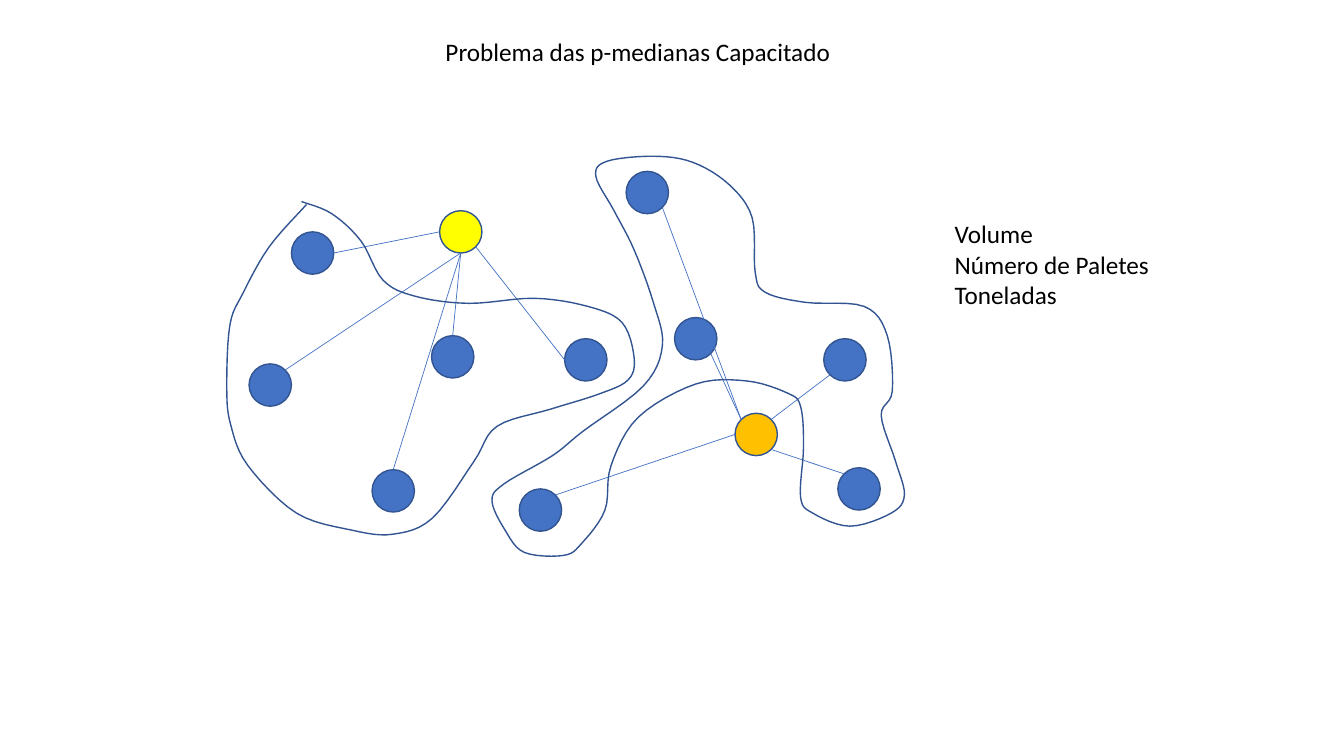
from dataclasses import dataclass

from lxml.etree import SubElement
from pptx import Presentation
from pptx.dml.color import RGBColor
from pptx.enum.shapes import MSO_CONNECTOR as CONNECTOR, MSO_SHAPE as SHAPE
from pptx.enum.text import MSO_AUTO_SIZE as AUTO_SIZE
from pptx.oxml.ns import qn
from pptx.util import Pt

PX = 9144  # EMU per px, 100 px to the inch
COLORS = {"customer": "4472C4", "edge": "325491", "yellow": "FFFF00",
          "orange": "FFC000", "text": "000000"}
RADIUS = 21
DIAGONAL = round(RADIUS * 0.5 ** 0.5)
CURVE_STEPS = 6  # straight pieces between two anchors of a boundary

# Compass points on a node's rim, as offsets from its centre
RIM = {"N": (0, -RADIUS), "S": (0, RADIUS), "W": (-RADIUS, 0), "E": (RADIUS, 0),
       "NW": (-DIAGONAL, -DIAGONAL), "NE": (DIAGONAL, -DIAGONAL),
       "SW": (-DIAGONAL, DIAGONAL), "SE": (DIAGONAL, DIAGONAL)}


@dataclass
class Cluster:
    color: str
    median: tuple
    links: list  # customer centre, rim point of the median, rim point of the customer
    boundary: list  # anchors that a smooth curve passes through, clockwise
    closed: bool


YELLOW_CLUSTER = Cluster(
    color="yellow", median=(257, 80), closed=False,
    links=[((110, 101), "W", "E"), ((68, 232), "S", "NE"), ((249, 204), "S", "N"),
           ((190, 337), "S", "N"), ((381, 207), "SE", "W")],
    boundary=[(99, 50), (129, 62), (158, 89), (180, 128), (212, 144), (265, 151),
              (330, 146), (383, 154), (417, 170), (429, 205), (423, 227), (394, 241),
              (346, 256), (293, 273), (270, 308), (229, 364), (190, 380), (149, 376),
              (94, 359), (46, 312), (29, 272), (25, 236), (28, 173), (41, 141),
              (67, 95), (104, 53)])

ORANGE_CLUSTER = Cluster(
    color="orange", median=(550, 281), closed=True,
    links=[((336, 356), "W", "NE"), ((652, 335), "SE", "NW"), ((490, 186), "NW", "SE"),
           ((638, 207), "NE", "SW"), ((442, 41), "NW", "SE")],
    boundary=[(402, 10), (448, 5), (487, 11), (523, 33), (546, 66), (549, 120),
              (559, 140), (599, 150), (657, 154), (680, 183), (685, 238), (674, 262),
              (688, 307), (697, 341), (684, 359), (643, 372), (606, 359), (594, 343),
              (597, 293), (594, 253), (581, 240), (541, 228), (490, 231), (433, 264),
              (406, 312), (400, 356), (377, 389), (359, 401), (320, 398), (301, 376),
              (288, 347), (300, 330), (348, 302), (378, 278), (438, 233), (457, 193),
              (448, 150), (429, 98), (409, 59), (391, 25)])


def rgb(name):
    return RGBColor.from_string(COLORS[name])


def emu(lengths):
    return [round(length * PX) for length in lengths]


def shift(point, offset):
    return point[0] + offset[0], point[1] + offset[1]


def spline(before, start, end, after, t):
    """Catmull-Rom value between start and end at t from 0 to 1."""
    return (2 * start + (end - before) * t
            + (2 * before - 5 * start + 4 * end - after) * t ** 2
            + (3 * start - before - 3 * end + after) * t ** 3) / 2


def smooth_curve(anchors, closed):
    """Points along a smooth curve through all anchors."""
    if closed:
        padded = [anchors[-1], *anchors, *anchors[:2]]
    else:
        padded = [anchors[0], *anchors, anchors[-1]]
    points = []
    for four_anchors in zip(padded, padded[1:], padded[2:], padded[3:]):
        xs, ys = zip(*four_anchors)
        for step in range(CURVE_STEPS):
            t = step / CURVE_STEPS
            points.append((spline(*xs, t), spline(*ys, t)))
    return points + [padded[-2]]


def style_edge(shape):
    shape.shadow.inherit = False
    shape.line.color.rgb = rgb("edge")
    shape.line.width = Pt(1)


def add_text(slide, box, lines):
    label = slide.shapes.add_textbox(*emu(box))
    frame = label.text_frame
    frame.word_wrap = False
    frame.auto_size = AUTO_SIZE.SHAPE_TO_FIT_TEXT
    frame.text = "\n".join(lines)
    for paragraph in frame.paragraphs:
        paragraph.font.name = "Calibri"
        paragraph.font.size = Pt(18)
        paragraph.font.color.rgb = rgb("text")


def add_node(slide, centre, color):
    corner = shift(centre, (-RADIUS, -RADIUS))
    node = slide.shapes.add_shape(SHAPE.OVAL, *emu((*corner, 2 * RADIUS, 2 * RADIUS)))
    node.fill.solid()
    node.fill.fore_color.rgb = rgb(color)
    style_edge(node)


def add_link(slide, start, end):
    link = slide.shapes.add_connector(CONNECTOR.STRAIGHT, *emu(start + end))
    link.line.color.rgb = rgb("customer")
    link.line.width = Pt(0.5)
    SubElement(link.element.spPr, qn("a:effectLst"))


def add_boundary(slide, anchors, closed):
    start, *rest = [emu(point) for point in smooth_curve(anchors, closed)]
    builder = slide.shapes.build_freeform(*start)
    builder.add_line_segments(rest, close=closed)
    boundary = builder.convert_to_shape()
    boundary.fill.background()
    style_edge(boundary)


def add_cluster(slide, origin, cluster):
    # Median and its customers
    median = shift(origin, cluster.median)
    add_node(slide, median, cluster.color)
    for offset, median_rim, customer_rim in cluster.links:
        customer = shift(origin, offset)
        add_node(slide, customer, "customer")
        add_link(slide, shift(median, RIM[median_rim]), shift(customer, RIM[customer_rim]))
    # Hand-drawn boundary
    add_boundary(slide, [shift(origin, anchor) for anchor in cluster.boundary],
                 cluster.closed)


def add_median_slide(prs):
    slide = prs.slides.add_slide(prs.slide_layouts[6])
    # Title
    add_text(slide, (432, 31, 412, 40), ["Problema das p-medianas Capacitado"])
    # Diagram
    for cluster in (YELLOW_CLUSTER, ORANGE_CLUSTER):
        add_cluster(slide, (200, 150), cluster)
    # Capacity measures
    add_text(slide, (937, 212, 215, 101), ["Volume", "Número de Paletes", "Toneladas"])


def main():
    prs = Presentation()
    prs.slide_width, prs.slide_height = emu((1333, 750))
    add_median_slide(prs)
    prs.save("out.pptx")


if __name__ == "__main__":
    main()
